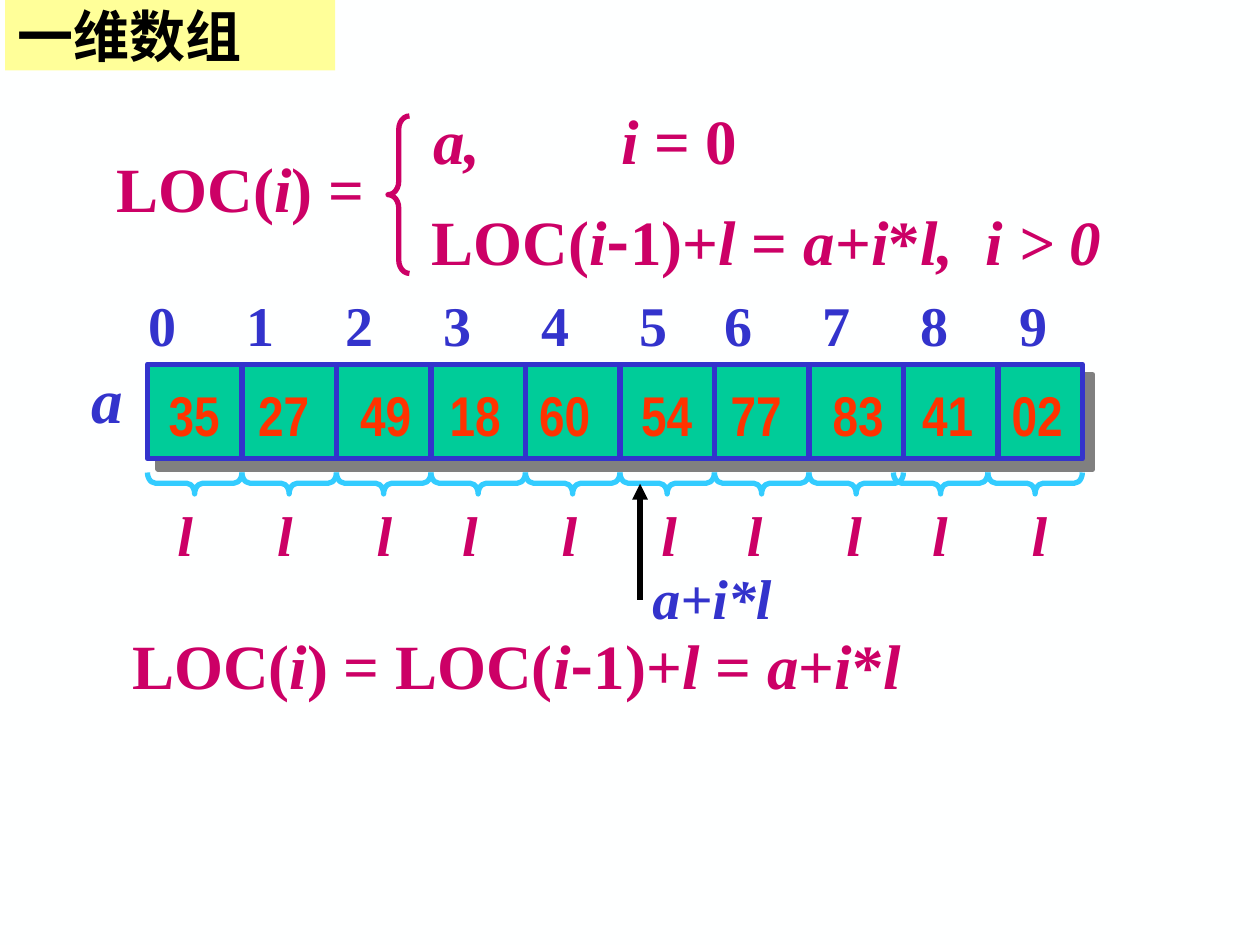
import itertools

import pptx
import pptx.dml.color
import pptx.enum.dml
import pptx.enum.shapes
import pptx.enum.text
import pptx.oxml
import pptx.oxml.ns
import pptx.util
from pptx.util import Inches

COLORS = {
    "background": "FEFFFF",
    "title": "000000",
    "title_fill": "FFFF99",
    "cell": "00CC99",
    "index": "3333CC",
    "value": "FF3300",
    "brace": "33CCFF",
    "formula": "CC0066",
    "shadow": "808080",
}
SERIF = "Times New Roman"
NARROW = "Arial Narrow"
CJK = "Noto Sans CJK SC"
COUNT = 10
ARRAY_LEFT, ARRAY_TOP, CELL_W, CELL_H = 1.17, 2.89, 0.75, 0.75
OFFSET = [("a", True), ("+", False), ("i", True), ("*", False)]
PREVIOUS = [("LOC(", False), ("i", True), ("-", False), ("1)+", False),
            ("l", True), (" = ", False)]


def rgb(name):
    return pptx.dml.color.RGBColor.from_string(COLORS[name])


def add_xml(parent, xml):
    ns = pptx.oxml.ns.nsdecls("a")
    parent.append(pptx.oxml.parse_xml(xml.replace(">", f" {ns}>", 1)))


def set_line(shape, color):
    shape.line.color.rgb = rgb(color)
    shape.line.width = pptx.util.Pt(3)


def add_run(p, text, size, color, font=SERIF, italic=False):
    r = p.add_run()
    r.text = text
    r.font.size = pptx.util.Pt(size)
    r.font.bold = True
    r.font.italic = italic
    r.font.name = font
    r.font.color.rgb = rgb(color)
    if font == CJK:
        add_xml(r._r.get_or_add_rPr(), f'<a:ea typeface="{CJK}"></a:ea>')


def add_text(s, left, top, width, height, runs, size, color, font=SERIF, tabs=()):
    tf = s.shapes.add_textbox(
        Inches(left), Inches(top), Inches(width), Inches(height)).text_frame
    tf.word_wrap = True
    tf.auto_size = pptx.enum.text.MSO_AUTO_SIZE.SHAPE_TO_FIT_TEXT
    p = tf.paragraphs[0]
    if tabs:
        stops = "".join(f'<a:tab pos="{Inches(t)}" algn="l"/>' for t in tabs)
        add_xml(p._p.get_or_add_pPr(), f"<a:tabLst>{stops}</a:tabLst>")
    for text, italic in runs:
        add_run(p, text, size, color, CJK if text == "-" else font, italic)


def add_row(s, left, top, items, gaps, color, font=SERIF, italic=False):
    add_text(s, left, top, 7.45, 0.64, [("\t".join(items), italic)], 32, color,
             font, list(itertools.accumulate(gaps)))


def add_line(s, x1, y1, x2, y2, color, arrow=False):
    line = s.shapes.add_connector(
        pptx.enum.shapes.MSO_CONNECTOR.STRAIGHT,
        Inches(x1), Inches(y1), Inches(x2), Inches(y2))
    set_line(line, color)
    if arrow:
        add_xml(line.line._get_or_add_ln(), '<a:tailEnd type="triangle"></a:tailEnd>')
    add_xml(line._element.spPr, "<a:effectLst></a:effectLst>")


def add_brace(s, left, top, height, color, curve, rotation=0):
    brace = s.shapes.add_shape(
        pptx.enum.shapes.MSO_SHAPE.LEFT_BRACE,
        Inches(left), Inches(top), Inches(0.17), Inches(height))
    brace.adjustments[0] = curve
    brace.rotation = rotation
    brace.shadow.inherit = False
    brace.fill.background()
    set_line(brace, color)


def add_title(s, text):
    title = s.shapes.title
    title.left, title.top = Inches(0.04), Inches(0)
    title.width, title.height = Inches(2.62), Inches(0.56)
    title.fill.solid()
    title.fill.fore_color.rgb = rgb("title_fill")
    tf = title.text_frame
    tf.auto_size = pptx.enum.text.MSO_AUTO_SIZE.NONE
    tf.vertical_anchor = pptx.enum.text.MSO_ANCHOR.MIDDLE
    p = tf.paragraphs[0]
    p.alignment = pptx.enum.text.PP_ALIGN.LEFT
    add_run(p, text, 32, "title", CJK)


def add_array(s):
    box = s.shapes.add_shape(
        pptx.enum.shapes.MSO_SHAPE.RECTANGLE, Inches(ARRAY_LEFT),
        Inches(ARRAY_TOP), Inches(7.42), Inches(CELL_H))
    box.fill.solid()
    box.fill.fore_color.rgb = rgb("cell")
    set_line(box, "index")
    add_xml(box._element.spPr,
            '<a:effectLst><a:outerShdw blurRad="0" '
            f'dist="{pptx.util.Pt(8.5)}" dir="2700000" algn="ctr" rotWithShape="0">'
            f'<a:srgbClr val="{COLORS["shadow"]}"/></a:outerShdw></a:effectLst>')
    for i in range(1, COUNT):
        x = ARRAY_LEFT + i * CELL_W
        add_line(s, x, ARRAY_TOP, x, ARRAY_TOP + CELL_H, "index")
    for i in range(COUNT):
        start = 1.46 if i < 8 else 1.38
        add_brace(s, start + i * CELL_W, 3.46, CELL_W, "brace", 0.375, 270)


def add_rows(s):
    add_row(s, 1.24, 2.97, "35 27 49 18 60 54 77 83 41 02".split(),
            [0.71, 0.81, 0.71, 0.71, 0.81, 0.71, 0.81, 0.71, 0.71], "value", NARROW)
    add_row(s, 1.08, 2.26, [str(i) for i in range(COUNT)],
            [0.78] * 5 + [0.67] + [0.78] * 3, "index")
    add_row(s, 1.31, 3.92, ["l"] * COUNT,
            [0.79, 0.79, 0.68, 0.79, 0.79, 0.68, 0.79, 0.68, 0.79],
            "formula", italic=True)


def add_formulas(s):
    loc = [("LOC(", False), ("i", True)]
    add_brace(s, 3.08, 0.92, 1.25, "formula", 0.625)
    add_text(s, 0.83, 1.14, 2.25, 0.7, loc + [(") =", False)], 36, "formula")
    add_text(s, 3.34, 0.76, 3.25, 0.7, [("a,\ti ", True), ("= 0", False)],
             36, "formula", tabs=[1.49])
    add_text(s, 3.33, 1.56, 5.75, 0.7, PREVIOUS + OFFSET + [("l,\ti > 0", True)],
             36, "formula", tabs=[4.39])
    add_text(s, 0.95, 4.92, 8.39, 0.7,
             loc + [(") = ", False)] + PREVIOUS + OFFSET + [("l", True)],
             36, "formula")


def main():
    prs = pptx.Presentation()
    prs.slide_width, prs.slide_height = Inches(10), Inches(7.5)
    s = prs.slides.add_slide(prs.slide_layouts[5])
    s.background.fill.solid()
    s.background.fill.fore_color.rgb = rgb("background")
    add_title(s, "一维数组")
    add_array(s)
    add_rows(s)
    add_formulas(s)
    add_line(s, 5.08, 4.76, 5.08, 3.84, "title", arrow=True)
    add_text(s, 5.08, 4.42, 1.2, 0.64, [("a+i*l", True)], 32, "index")
    add_text(s, 0.63, 2.81, 0.5, 0.7, [("a", True)], 36, "index")
    prs.save("out.pptx")


if __name__ == "__main__":
    main()
